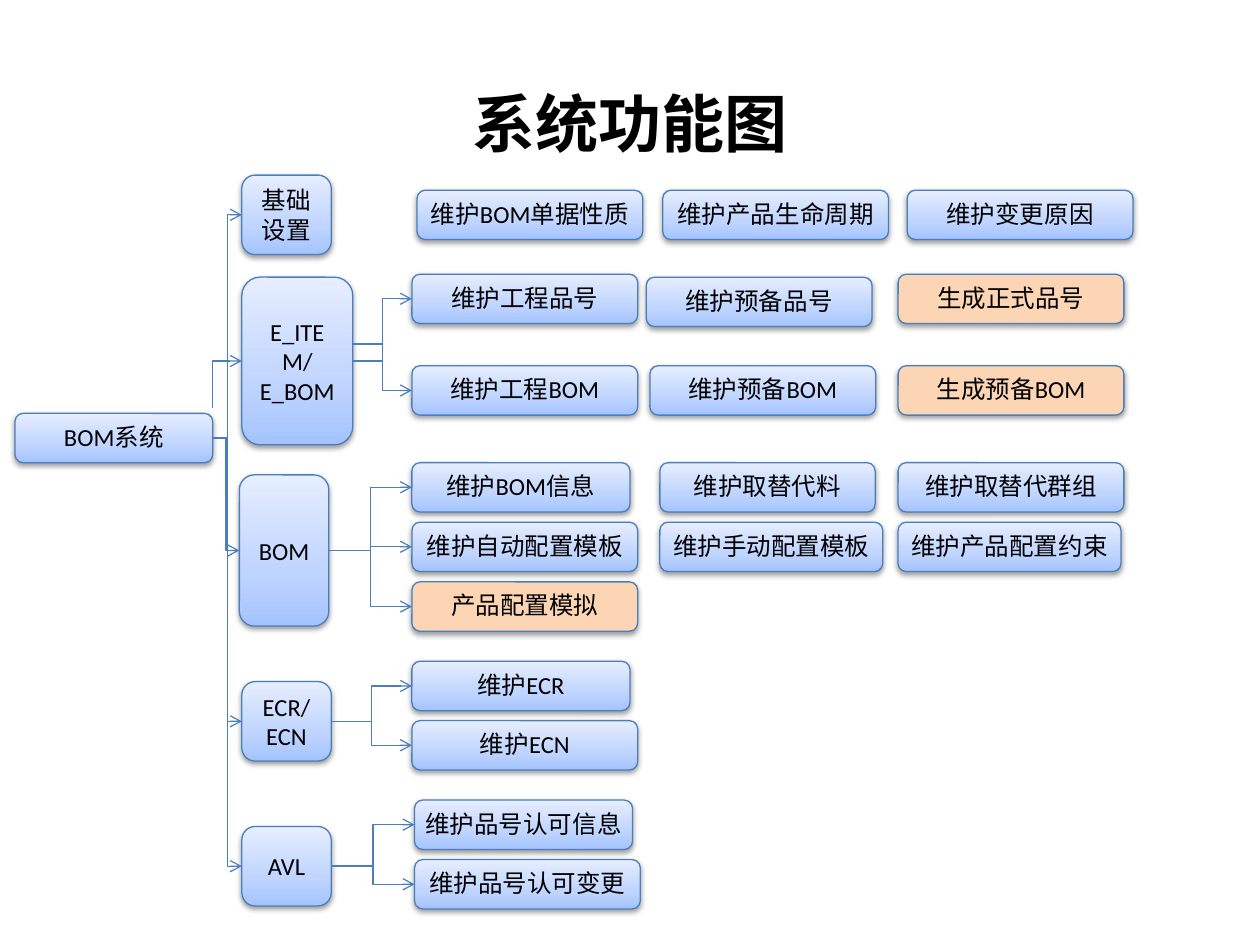
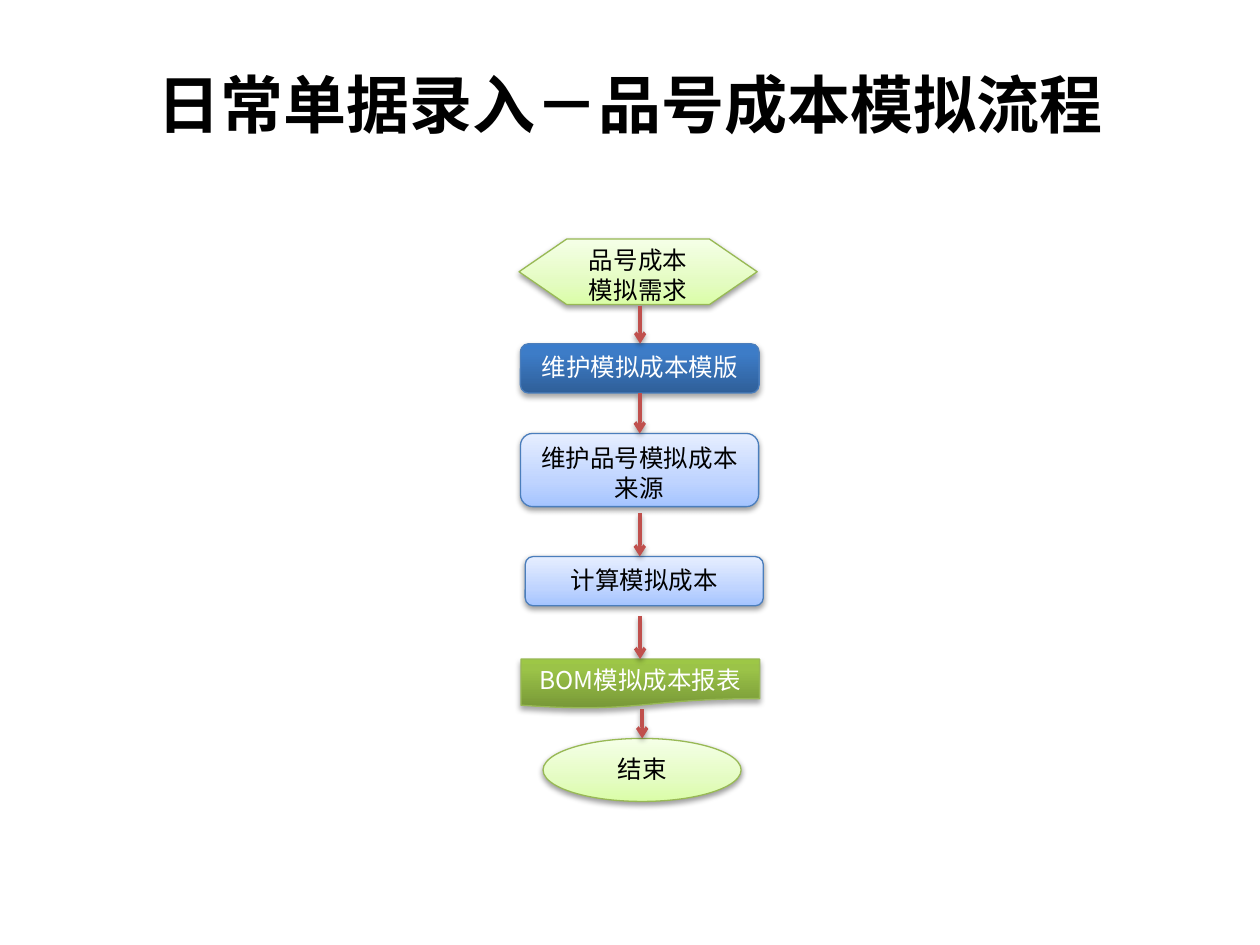
from dataclasses import dataclass

from lxml.etree import SubElement
from pptx import Presentation
from pptx.dml.color import RGBColor
from pptx.enum.shapes import MSO_CONNECTOR as Link, MSO_SHAPE as Form
from pptx.enum.text import MSO_ANCHOR as Anchor, MSO_AUTO_SIZE as AutoSize, PP_ALIGN as Align
from pptx.oxml.ns import qn
from pptx.util import Pt

SYSTEM = ("BOM系统", 8.6, 236.2, 113, 28.2)
ITEM_MODULE = "E_ITEM/E_BOM"
ITEM_ENTRY_Y = 233.3
FUNCTION_HEIGHT = 28.2

MODULES = [
    ("基础设置", (138.2, 100.1, 51.1, 45.4), Anchor.TOP),
    (ITEM_MODULE, (138.2, 158.4, 63.4, 95.8), Anchor.MIDDLE),
    ("BOM", (136.8, 271.4, 51.1, 86.4), Anchor.MIDDLE),
    ("ECR/ECN", (138.2, 389.5, 51.1, 45.4), Anchor.TOP),
    ("AVL", (138.2, 472.3, 51.1, 45.4), Anchor.MIDDLE),
]

FUNCTIONS = {
    "基础设置": [
        ("维护BOM单据性质", 238.3, 108.7, 129, "maintain"),
        ("维护产品生命周期", 378.7, 108.7, 129, "maintain"),
        ("维护变更原因", 518.4, 108.7, 129, "maintain"),
    ],
    ITEM_MODULE: [
        ("维护工程品号", 235.4, 156.7, 129, "maintain"),
        ("维护预备品号", 369.3, 158.4, 129, "maintain"),
        ("生成正式品号", 513.2, 156.7, 129, "generate"),
        ("维护工程BOM", 235.4, 209, 129, "maintain"),
        ("维护预备BOM", 371.4, 209, 129, "maintain"),
        ("生成预备BOM", 513.2, 209, 129, "generate"),
    ],
    "BOM": [
        ("维护BOM信息", 235.4, 264.4, 124.6, "maintain"),
        ("维护取替代料", 377.1, 264.4, 123, "maintain"),
        ("维护取替代群组", 513.2, 264.4, 129, "maintain"),
        ("维护自动配置模板", 235.4, 298.4, 129, "maintain"),
        ("维护手动配置模板", 377.1, 298.4, 127.4, "maintain"),
        ("维护产品配置约束", 513.2, 298.4, 127.4, "maintain"),
        ("产品配置模拟", 235.4, 332.5, 129, "generate"),
    ],
    "ECR/ECN": [
        ("维护ECR", 235.4, 377.9, 124.6, "maintain"),
        ("维护ECN", 235.4, 411.8, 129, "maintain"),
    ],
    "AVL": [
        ("维护品号认可信息", 236.9, 457.2, 124.6, "maintain"),
        ("维护品号认可变更", 236.9, 491.2, 129, "maintain"),
    ],
}
FIRST_COLUMN = (235.4, 236.9)
EXIT_SHIFTS = {"维护工程BOM": -9.7}

STEPS = [
    ("品号成本模拟需求", Form.FLOWCHART_PREPARATION, (296.6, 136.6, 136.1, 37.4), "start", 0.8, 365.8),
    ("维护模拟成本模版", Form.ROUNDED_RECTANGLE, (297.4, 196.4, 136.4, 28.2), "template", 0, 365.6),
    ("维护品号模拟成本来源", Form.ROUNDED_RECTANGLE, (297.4, 247.7, 136.1, 41.8), "maintain", 3.6, 365.6),
    ("计算模拟成本", Form.ROUNDED_RECTANGLE, (300.1, 318, 136.1, 28.2), "maintain", 5.8, 365.8),
    ("BOM模拟成本报表", Form.FLOWCHART_DOCUMENT, (297.7, 376.6, 136.4, 28.2), "report", 0.4, 367),
    ("结束", Form.FLOWCHART_CONNECTOR, (310.3, 422, 113.2, 36), "start", 0, 0),
]


@dataclass(frozen=True)
class Theme:
    latin: str = "Calibri"
    cjk: str = "Noto Sans CJK SC"
    heading: str = "Noto Sans CJK TC"
    title_size: float = 36
    body_size: float = 14
    black: str = "000000"
    white: str = "FFFFFF"
    blue: str = "4B7EBC"
    green: str = "98B955"
    red: str = "C0504D"
    soft_shadow: tuple = (38, 3.15, 1.57)
    deep_shadow: tuple = (35, 3.15, 1.8)


THEME = Theme()
PALE_BLUE = [(0, "A4C4FF"), (35, "BFD4FF"), (100, "E6EEFF")]
PALE_GREEN = [(0, "DAFDA7"), (35, "E4FCC2"), (100, "F5FFE7")]
DEEP_BLUE = [(0, "2F5F99"), (80, "3D7CC7"), (100, "3A7CCB")]
DEEP_GREEN = [(0, "779737"), (80, "9BC348"), (100, "9DC746")]
ROLES = {
    "maintain": (PALE_BLUE, THEME.blue, THEME.black, THEME.soft_shadow),
    "generate": ("FCD5B5", THEME.blue, THEME.black, THEME.soft_shadow),
    "start": (PALE_GREEN, THEME.green, THEME.black, THEME.soft_shadow),
    "template": (DEEP_BLUE, THEME.blue, THEME.white, THEME.deep_shadow),
    "report": (DEEP_GREEN, THEME.green, THEME.white, THEME.deep_shadow),
}


def assign(target, formats):
    for key, value in formats.items():
        setattr(target, key, value)


def points(*lengths):
    return [Pt(length) for length in lengths]


def add_color(parent, color):
    return SubElement(parent, qn("a:srgbClr"), val=color)


def cast_shadow(effects, shadow):
    opacity, blur, distance = shadow
    outer = SubElement(effects, qn("a:outerShdw"), blurRad=str(Pt(blur)),
                       dist=str(Pt(distance)), dir="5400000", rotWithShape="0")
    SubElement(add_color(outer, THEME.black), qn("a:alpha"), val=str(opacity * 1000))


def paint(box, fill):
    if isinstance(fill, str):
        box.fill.solid()
        box.fill.fore_color.rgb = RGBColor.from_string(fill)
        return
    box.fill.gradient()
    box.fill.gradient_angle = 90
    stops = box._element.spPr.find(".//" + qn("a:gsLst"))
    stops.clear()
    for position, color in fill:
        add_color(SubElement(stops, qn("a:gs"), pos=str(position * 1000)), color)


def write(box, text, latin, cjk, size, color, frame, bold=False):
    assign(box.text_frame, frame)
    line = box.text_frame.paragraphs[0]
    line.alignment = Align.CENTER
    run = line.add_run()
    run.text = text
    assign(run.font, {"name": latin, "size": Pt(size), "bold": bold})
    run.font.color.rgb = RGBColor.from_string(color)
    SubElement(run.font._element, qn("a:ea"), typeface=cjk)


def add_title(slide, text, top, font):
    title = slide.shapes.add_textbox(*points(0, top, 720, 51))
    write(title, text, font, font, THEME.title_size, THEME.black,
          {"word_wrap": True, "auto_size": AutoSize.SHAPE_TO_FIT_TEXT}, True)


def add_node(slide, text, place, role, latin=THEME.latin, form=Form.ROUNDED_RECTANGLE,
             anchor=Anchor.TOP, wrap=True):
    fill, outline, ink, shadow = ROLES[role]
    node = slide.shapes.add_shape(form, *points(*place))
    paint(node, fill)
    node.line.width = Pt(0.75)
    node.line.color.rgb = RGBColor.from_string(outline)
    node.shadow.inherit = False
    cast_shadow(node._element.spPr.find(qn("a:effectLst")), shadow)
    write(node, text, latin, THEME.cjk, THEME.body_size, ink,
          {"vertical_anchor": anchor, "word_wrap": wrap})


def add_arrow(slide, kind, ends, color, width, shadow=None, bend=None):
    arrow = slide.shapes.add_connector(kind, *points(*ends))
    arrow.line.width = Pt(width)
    arrow.line.color.rgb = RGBColor.from_string(color)
    outline = arrow._element.spPr
    SubElement(outline.find(qn("a:ln")), qn("a:tailEnd"), type="arrow")
    effects = SubElement(outline, qn("a:effectLst"))
    if shadow:
        cast_shadow(effects, shadow)
    if bend is not None:
        guides = outline.find(qn("a:prstGeom")).find(qn("a:avLst"))
        SubElement(guides, qn("a:gd"), name="adj1", fmla=f"val {bend}")


def add_branch(slide, *ends, bend=None):
    add_arrow(slide, Link.ELBOW, ends, THEME.blue, 0.75, bend=bend)


def build_function_map(slide):
    add_title(slide, "系统功能图", 44.6, THEME.heading)
    system, left, top, width, height = SYSTEM
    add_node(slide, system, (left, top, width, height), "maintain")
    system_right, system_middle = left + width, top + height / 2
    for module, place, anchor in MODULES:
        left, top, width, height = place
        middle = top + height / 2
        add_node(slide, module, place, "maintain", anchor=anchor)
        if module == ITEM_MODULE:
            add_branch(slide, system_right, ITEM_ENTRY_Y, left, middle, bend=0)
        else:
            add_branch(slide, system_right, system_middle, left, middle)
        for function, column, row, span, role in FUNCTIONS[module]:
            add_node(slide, function, (column, row, span, FUNCTION_HEIGHT), role,
                     wrap=role == "generate")
            if column in FIRST_COLUMN:
                add_branch(slide, left + width, middle + EXIT_SHIFTS.get(function, 0),
                           column, row + FUNCTION_HEIGHT / 2)


def build_cost_flow(slide):
    add_title(slide, "日常单据录入－品号成本模拟流程", 33.8, THEME.cjk)
    for step, form, place, role, _, _ in STEPS:
        add_node(slide, step, place, role, THEME.cjk, form)
    for (_, _, place, _, gap, x), (_, _, following, *_) in zip(STEPS, STEPS[1:]):
        add_arrow(slide, Link.STRAIGHT, (x, place[1] + place[3] + gap, x, following[1]),
                  THEME.red, 2, THEME.soft_shadow)


def main():
    deck = Presentation()
    assign(deck, {"slide_width": Pt(720), "slide_height": Pt(540)})
    for build in (build_function_map, build_cost_flow):
        build(deck.slides.add_slide(deck.slide_layouts[6]))
    deck.save("out.pptx")


if __name__ == "__main__":
    main()
